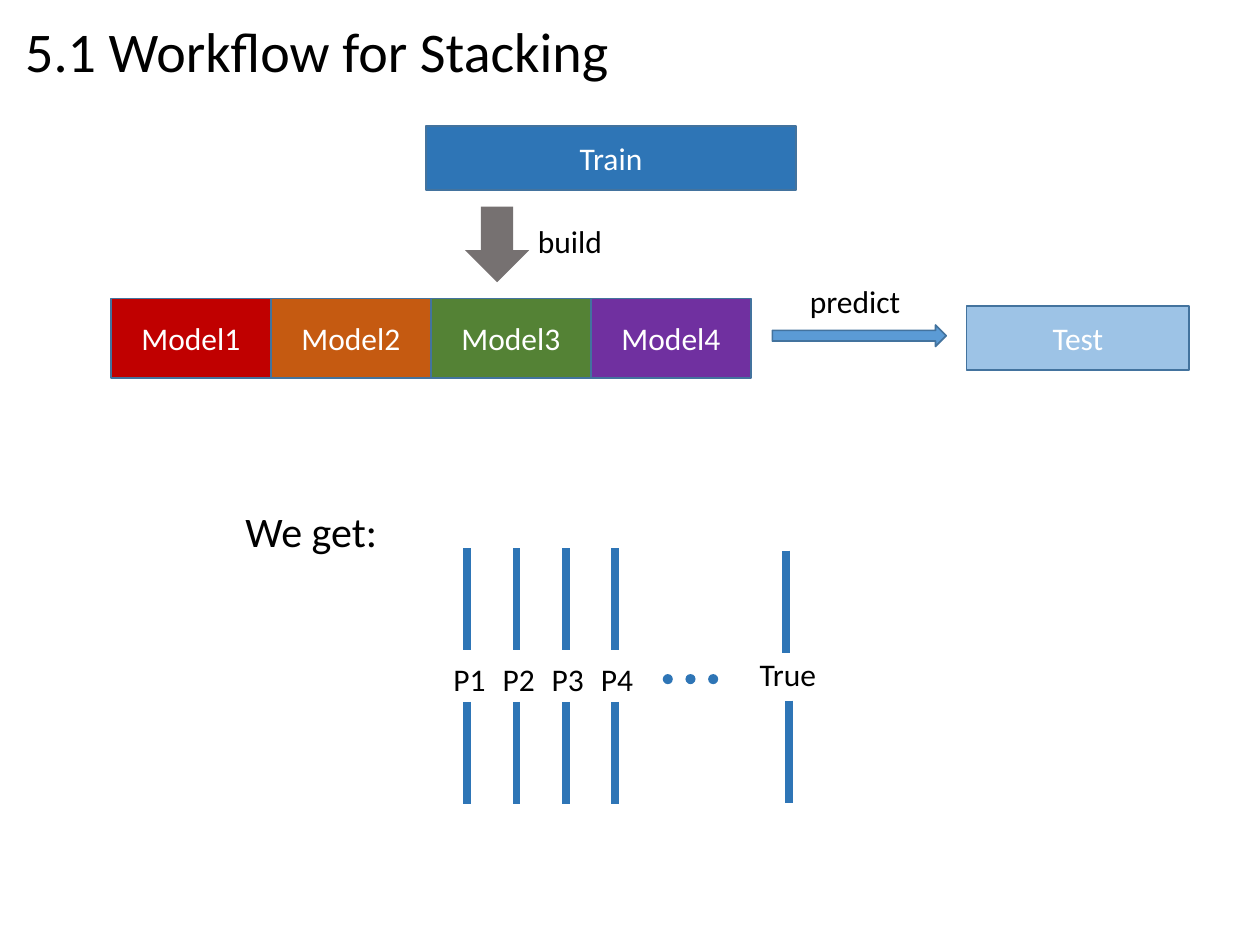
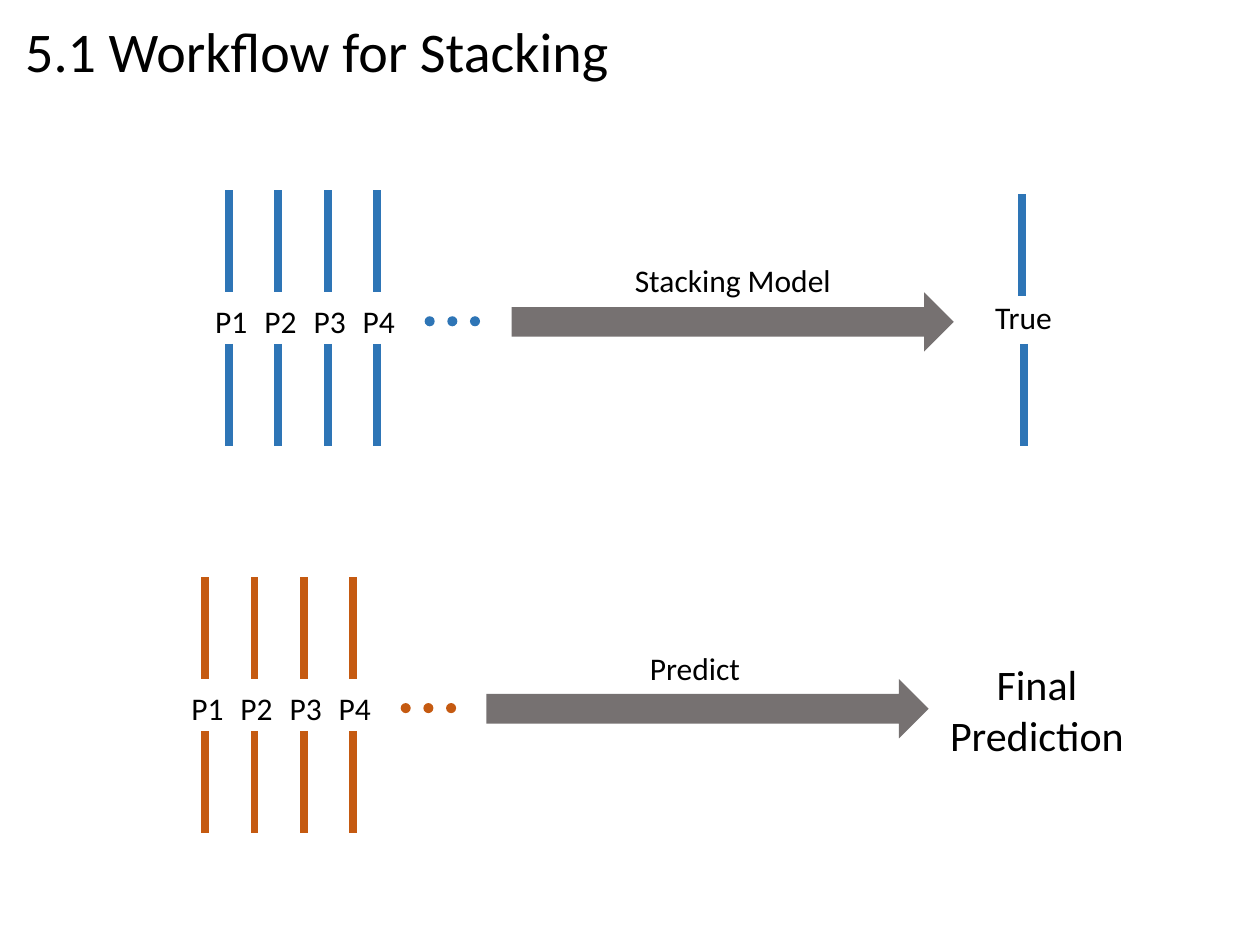
from lxml.etree import SubElement
from pptx import Presentation
from pptx.dml.color import RGBColor
from pptx.enum.shapes import MSO_CONNECTOR, MSO_SHAPE
from pptx.enum.text import MSO_ANCHOR, MSO_AUTO_SIZE, PP_ALIGN
from pptx.oxml.ns import qn
from pptx.util import Inches, Pt

# Shared style
FONT = "Calibri"
BLACK = RGBColor(0, 0, 0)
WHITE = RGBColor(255, 255, 255)
BLUE = RGBColor(0x2E, 0x75, 0xB6)
MID = RGBColor(0x5B, 0x9B, 0xD5)
PALE = RGBColor(0x9D, 0xC3, 0xE6)
EDGE = RGBColor(0x43, 0x73, 0x9E)
GREY = RGBColor(0x76, 0x71, 0x71)
RED = RGBColor(0xC0, 0, 0)
ORANGE = RGBColor(0xC5, 0x5A, 0x11)
GREEN = RGBColor(0x54, 0x82, 0x35)
PURPLE = RGBColor(0x70, 0x30, 0xA0)

# Content: places are left, top, width, height in inches
TITLE = "5.1 Workflow for Stacking"
MODELS = [("Model1", RED), ("Model2", ORANGE),
          ("Model3", GREEN), ("Model4", PURPLE)]
DATA = [("Test", PALE, (7.67, 2.43, 1.77, 0.51)),
        ("Train", BLUE, (3.38, 1, 2.94, 0.51))]
PREDS = ["P1", "P2", "P3", "P4"]
FLOW_NOTES = [("build", 18, (4.17, 1.71, 0.72, 0.4)),
              ("predict", 18, (6.33, 2.19, 0.93, 0.4)),
              ("We get:", 24, (1.85, 3.96, 1.3, 0.5))]
STACK_NOTES = [("Stacking Model", 18, (4.94, 2.02, 1.77, 0.4)),
               ("Predict", 18, (5.06, 5.1, 0.92, 0.4)),
               ("Final\nPrediction", 24, (7.4, 5.18, 1.66, 0.91))]
STACK_ARROWS = [(4.06, 2.32, 3.51, 0.47), (3.86, 5.39, 3.51, 0.47)]

# Prediction columns
STEP, BAR = 0.39, 0.81
DOT, DOT_STEP = 0.08, 0.18


def write(frame, text, size, color, align):
    for n, line in enumerate(text.split("\n")):
        para = frame.add_paragraph() if n else frame.paragraphs[0]
        para.alignment = align
        run = para.add_run()
        run.text = line
        font = run.font
        font.name, font.size, font.color.rgb = FONT, Pt(size), color


def label(shapes, text, size, place):
    frame = shapes.add_textbox(*map(Inches, place)).text_frame
    frame.word_wrap = False
    frame.auto_size = MSO_AUTO_SIZE.SHAPE_TO_FIT_TEXT
    align = PP_ALIGN.CENTER if "\n" in text else PP_ALIGN.LEFT
    write(frame, text, size, BLACK, align)


def block(shapes, kind, place, fill, edge=None, text=None):
    shape = shapes.add_shape(kind, *map(Inches, place))
    shape.shadow.inherit = False
    shape.fill.solid()
    shape.fill.fore_color.rgb = fill
    if edge is None:
        shape.line.fill.background()
    else:
        shape.line.color.rgb = edge
        shape.line.width = Pt(1)
    if text:
        shape.text_frame.vertical_anchor = MSO_ANCHOR.MIDDLE
        write(shape.text_frame, text, 18, WHITE, PP_ALIGN.CENTER)


def bar(shapes, x, top, color):
    line = shapes.add_connector(MSO_CONNECTOR.STRAIGHT, Inches(x), Inches(top),
                                Inches(x), Inches(top + BAR))
    line.line.color.rgb = color
    line.line.width = Pt(4.5)
    SubElement(line._element.spPr, qn("a:effectLst"))


def preds(shapes, x, top, color):
    """Columns P1 to P4, each a bar above and below its name, then dots."""
    for n, name in enumerate(PREDS):
        mid = x + n * STEP
        bar(shapes, mid, top, color)
        label(shapes, name, 18, (mid - 0.21, top + 0.84, 0.46, 0.4))
        bar(shapes, mid, top + 1.22, color)
    for n in range(3):
        place = (x + 1.55 + n * DOT_STEP, top + 1, DOT, DOT)
        block(shapes, MSO_SHAPE.OVAL, place, color)


def truth(shapes, x, top):
    bar(shapes, x, top, BLUE)
    label(shapes, "True", 18, (x - 0.31, top + 0.78, 0.66, 0.4))
    bar(shapes, x + 0.02, top + 1.19, BLUE)


def start(deck):
    """Add a slide with the shared title and give back its shapes."""
    shapes = deck.slides.add_slide(deck.slide_layouts[5]).shapes
    title = shapes.title
    title.left, title.top = Inches(0.1), Inches(0.08)
    title.width, title.height = Inches(5.03), Inches(0.64)
    frame = title.text_frame
    frame.word_wrap = False
    frame.auto_size = MSO_AUTO_SIZE.SHAPE_TO_FIT_TEXT
    frame.vertical_anchor = MSO_ANCHOR.TOP
    write(frame, TITLE, 32, BLACK, PP_ALIGN.LEFT)
    return shapes


def flow(deck):
    shapes = start(deck)
    # Data, models and arrows
    for text, fill, place in DATA:
        block(shapes, MSO_SHAPE.RECTANGLE, place, fill, EDGE, text)
    block(shapes, MSO_SHAPE.DOWN_ARROW, (3.69, 1.64, 0.51, 0.6), GREY)
    for n, (text, fill) in enumerate(MODELS):
        place = (0.88 + n * 1.27, 2.37, 1.27, 0.63)
        block(shapes, MSO_SHAPE.RECTANGLE, place, fill, EDGE, text)
    block(shapes, MSO_SHAPE.RIGHT_ARROW, (6.13, 2.58, 1.38, 0.17), MID, EDGE)
    for note in FLOW_NOTES:
        label(shapes, *note)
    # Resulting columns
    group = shapes.add_group_shape().shapes
    preds(group, 3.71, 4.35, BLUE)
    truth(group, 6.24, 4.37)


def stack(deck):
    shapes = start(deck)
    # Training row, then prediction row
    group = shapes.add_group_shape().shapes
    preds(group, 1.82, 1.51, BLUE)
    truth(group, 8.11, 1.54)
    preds(shapes.add_group_shape().shapes, 1.63, 4.58, ORANGE)
    # Arrows and notes
    for place in STACK_ARROWS:
        block(shapes, MSO_SHAPE.RIGHT_ARROW, place, GREY)
    for note in STACK_NOTES:
        label(shapes, *note)


def main():
    deck = Presentation()
    deck.slide_width, deck.slide_height = Inches(10), Inches(7.5)
    flow(deck)
    stack(deck)
    deck.save("out.pptx")


if __name__ == "__main__":
    main()
